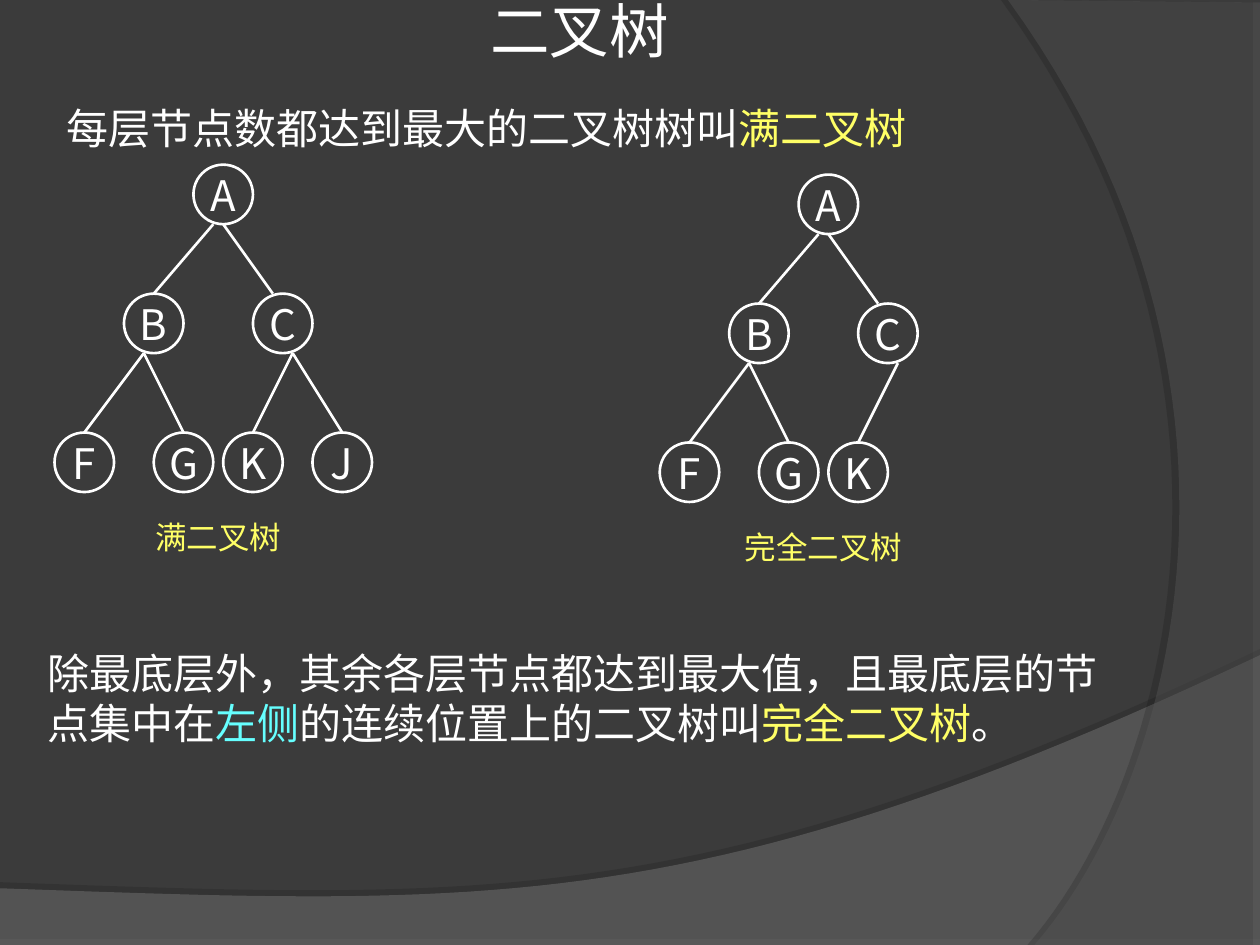
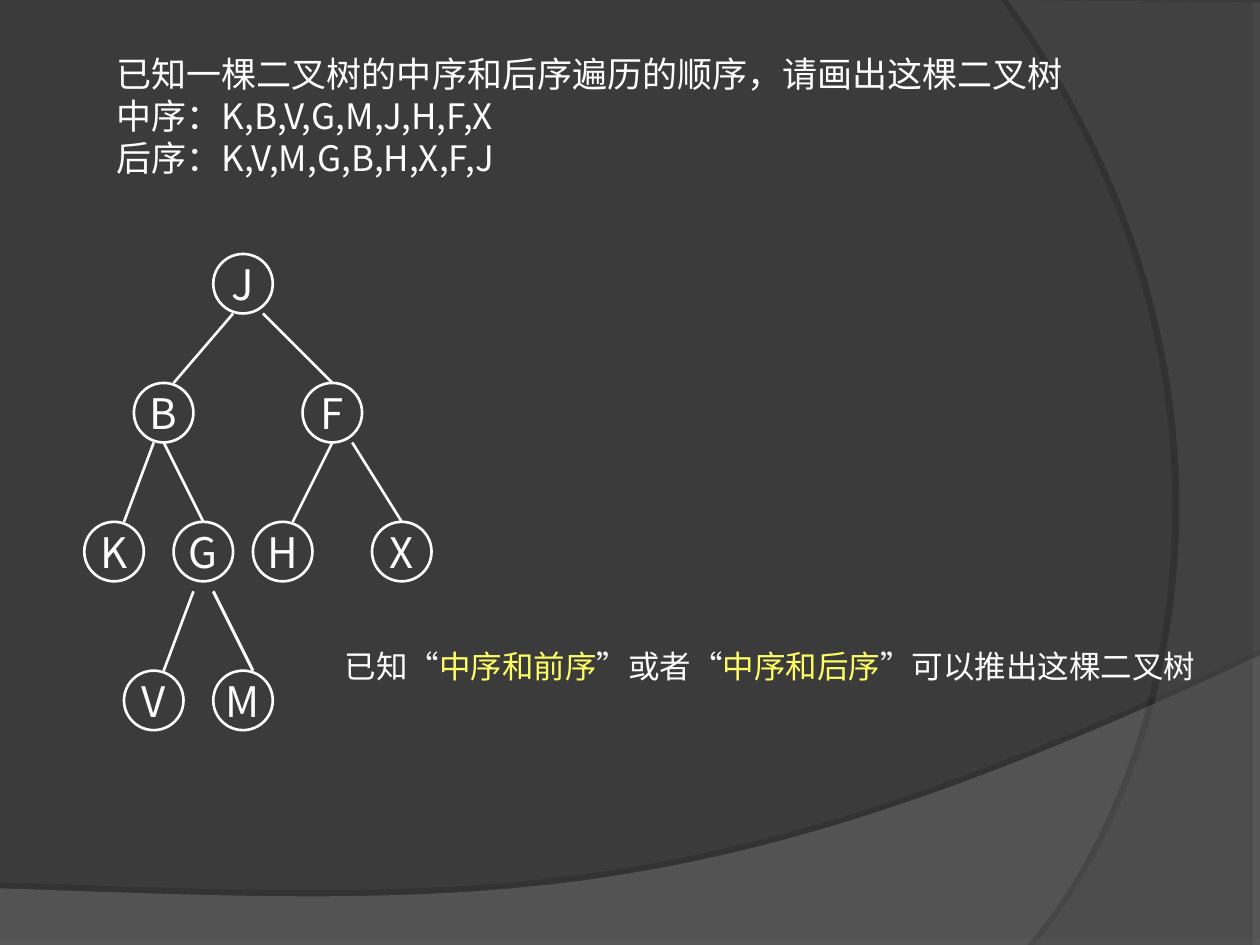
from dataclasses import dataclass
from typing import NamedTuple

from lxml.etree import SubElement
from pptx import Presentation
from pptx.dml.color import RGBColor
from pptx.enum.shapes import MSO_CONNECTOR, MSO_SHAPE
from pptx.enum.text import MSO_ANCHOR, PP_ALIGN
from pptx.oxml.ns import qn
from pptx.util import Emu, Inches, Pt

SLIDE_WIDTH, SLIDE_HEIGHT = Inches(10), Inches(7.5)
COLUMNS = 127
CELL = SLIDE_WIDTH / COLUMNS  # square grid cell, also used for rows
NODE_SIZE = 6
LEVEL_ROWS = (0, 13, 27, 42)
CAPTION_DROP = 35


@dataclass(frozen=True)
class Theme:
    ground: str = "3B3B3B"
    hill: str = "7C7C7C"
    side: str = "595959"
    shade: str = "000000"
    ink: str = "FFFFFF"
    term: str = "FFFF66"
    stress: str = "66FFFF"
    title_font: str = "Arial"
    prose_font: str = "Noto Sans CJK SC"
    label_font: str = "Noto Sans CJK JP"
    title_size: float = 34
    body_size: float = 24
    question_size: float = 20
    caption_size: float = 18
    line_height: float = 1.2
    stroke: float = 1.5


THEME = Theme()


class Span(NamedTuple):
    text: str
    color: str = THEME.ink


class Point(NamedTuple):
    x: float
    y: float


@dataclass(frozen=True)
class Band:
    """Corners and the closing Bezier, as points in inches."""
    corners: tuple[Point, ...]
    curve: tuple[Point, Point, Point, Point]
    color: str
    opacity: int
    shade_opacity: int
    shade_distance: float
    shade_angle: int


@dataclass(frozen=True)
class Passage:
    left: float
    top: float
    width: float
    height: float
    paragraphs: tuple[tuple[Span, ...], ...]
    size: float = THEME.body_size
    font: str = THEME.prose_font
    align: PP_ALIGN = PP_ALIGN.LEFT
    anchor: MSO_ANCHOR = MSO_ANCHOR.TOP
    wrap: bool = True
    exact_lines: bool = True


class Node(NamedTuple):
    """center is a column counted from the left of the tree."""
    center: float
    level: int


class Branch(NamedTuple):
    """Shifts move the ends sideways from the nodes' centers, in cells."""
    parent: str
    child: str
    start_shift: float = 0
    end_shift: float = 0
    gap: float = 0
    weight: float = THEME.stroke


@dataclass(frozen=True)
class Tree:
    left: float
    top: float
    nodes: dict[str, Node]
    branches: tuple[Branch, ...]
    caption: str = ""


BANDS = (
    Band((Point(0, 7.05), Point(0, 7.5), Point(10, 7.5)),
         (Point(10, 5.2), Point(5.59, 7.29), Point(3.91, 7.19), Point(0, 7.05)),
         THEME.hill, 45, 27, 3.5, 270),
    Band((Point(10, 0.02), Point(10, 7.5)),
         (Point(8.21, 7.5), Point(9.35, 6.19), Point(10.18, 3), Point(8, 0)),
         THEME.side, 40, 37, 4, 180),
)

FULL_NODES = {
    "A": Node(22.5, 0), "B": Node(15.5, 1), "C": Node(28.5, 1),
    "F": Node(8.5, 2), "G": Node(18.5, 2), "K": Node(25.5, 2), "J": Node(34.5, 2),
}
FULL_BRANCHES = (
    Branch("A", "B", -1), Branch("A", "C", 0, -1), Branch("B", "F", -1),
    Branch("B", "G", -1), Branch("C", "K", 1), Branch("C", "J", 1),
)
FULL_TREE = Tree(0, 16.6, FULL_NODES, FULL_BRANCHES, "满二叉树")
COMPLETE_TREE = Tree(
    61, 17.6,
    {letter: node for letter, node in FULL_NODES.items() if letter != "J"},
    tuple(branch for branch in FULL_BRANCHES if branch.child != "J"),
    "完全二叉树",
)
ANSWER_TREE = Tree(
    0, 25.6,
    {"J": Node(24.5, 0), "B": Node(16.5, 1), "F": Node(33.5, 1),
     "K": Node(11.5, 2), "G": Node(20.5, 2), "H": Node(28.5, 2), "X": Node(40.5, 2),
     "V": Node(15.5, 3), "M": Node(24.5, 3)},
    (Branch("J", "B", -1, 1), Branch("J", "F", 2), Branch("B", "K", -1, 1),
     Branch("B", "G"), Branch("F", "H", 0, 1), Branch("F", "X", 2),
     Branch("G", "V", -1, 1, gap=1), Branch("G", "M", 1, 1, gap=1, weight=1.75)),
)

TITLE = Passage(6.5, 0, 103.8, 5.9, ((Span("二叉树"),),), THEME.title_size,
                THEME.title_font, PP_ALIGN.CENTER, MSO_ANCHOR.MIDDLE, exact_lines=False)
FULL_RULE = Passage(5.5, 9.7, 109, 6.4, (
    (Span("每层节点数都达到最大的二叉树树叫"), Span("满二叉树", THEME.term)),
))
COMPLETE_RULE = Passage(3.5, 64.6, 109, 11.4, ((
    Span("除最底层外，其余各层节点都达到最大值，且最底层的节点集中在"),
    Span("左侧", THEME.stress),
    Span("的连续位置上的二叉树叫"),
    Span("完全二叉树", THEME.term),
    Span("。"),
),))
QUESTION = Passage(10.5, 4.6, 102, 14, (
    (Span("已知一棵二叉树的中序和后序遍历的顺序，请画出这棵二叉树"),),
    (Span("中序：K,B,V,G,M,J,H,F,X"),),
    (Span("后序：K,V,M,G,B,H,X,F,J"),),
), THEME.question_size, THEME.label_font, anchor=MSO_ANCHOR.MIDDLE)
CONCLUSION = Passage(33.5, 64.6, 88.3, 5, ((
    Span("已知“"), Span("中序和前序", THEME.term), Span("”或者“"),
    Span("中序和后序", THEME.term), Span("”可以推出这棵二叉树"),
),), THEME.caption_size, THEME.label_font, anchor=MSO_ANCHOR.MIDDLE, wrap=False)


def cells(count: float) -> Emu:
    return Emu(round(count * CELL))


def rgb(color: str) -> RGBColor:
    return RGBColor.from_string(color)


def bezier(curve: tuple[Point, Point, Point, Point], steps: int = 48) -> list[Point]:
    weights = (1, 3, 3, 1)
    points = []
    for step in range(steps + 1):
        t = step / steps
        blend = [w * (1 - t) ** (3 - i) * t ** i for i, w in enumerate(weights)]
        points.append(Point(sum(b * p.x for b, p in zip(blend, curve)),
                            sum(b * p.y for b, p in zip(blend, curve))))
    return points


def add_alpha(color_element, percent: int) -> None:
    SubElement(color_element, qn("a:alpha"), val=str(percent * 1000))


def draw_band(slide, band: Band) -> None:
    first, *rest = [*band.corners, *bezier(band.curve)]
    builder = slide.shapes.build_freeform(Inches(first.x), Inches(first.y))
    builder.add_line_segments([(Inches(p.x), Inches(p.y)) for p in rest], close=True)
    outline = builder.convert_to_shape()
    outline.fill.solid()
    outline.fill.fore_color.rgb = rgb(band.color)
    outline.line.fill.background()
    outline.shadow.inherit = False
    properties = outline.element.spPr
    add_alpha(properties.find(qn("a:solidFill")).find(qn("a:srgbClr")), band.opacity)
    shade = SubElement(properties.find(qn("a:effectLst")), qn("a:outerShdw"),
                       blurRad="0", dist=str(Pt(band.shade_distance)),
                       dir=str(band.shade_angle * 60000), algn="ctr", rotWithShape="0")
    add_alpha(SubElement(shade, qn("a:srgbClr"), val=THEME.shade), band.shade_opacity)


def add_span(paragraph, span: Span, size: float, font: str) -> None:
    run = paragraph.add_run()
    run.text = span.text
    run.font.size = Pt(size)
    run.font.color.rgb = rgb(span.color)
    run.font.name = font
    east_asian = THEME.prose_font if font == THEME.title_font else font
    SubElement(run.font._element, qn("a:ea"), typeface=east_asian)


def write(slide, passage: Passage) -> None:
    area = (passage.left, passage.top, passage.width, passage.height)
    frame = slide.shapes.add_textbox(*map(cells, area)).text_frame
    frame.word_wrap = passage.wrap
    frame.vertical_anchor = passage.anchor
    for index, spans in enumerate(passage.paragraphs):
        paragraph = frame.add_paragraph() if index else frame.paragraphs[0]
        paragraph.alignment = passage.align
        if passage.exact_lines:
            paragraph.line_spacing = Pt(passage.size * THEME.line_height)
        for span in spans:
            add_span(paragraph, span, passage.size, passage.font)


def draw_node(slide, tree: Tree, letter: str, node: Node) -> None:
    circle = slide.shapes.add_shape(
        MSO_SHAPE.OVAL, cells(tree.left + node.center - NODE_SIZE / 2),
        cells(tree.top + LEVEL_ROWS[node.level]), cells(NODE_SIZE), cells(NODE_SIZE))
    circle.shadow.inherit = False
    circle.fill.solid()
    circle.fill.fore_color.rgb = rgb(THEME.ground)
    circle.line.color.rgb = rgb(THEME.ink)
    circle.line.width = Pt(THEME.stroke)
    frame = circle.text_frame
    frame.word_wrap = False
    frame.vertical_anchor = MSO_ANCHOR.MIDDLE
    frame.paragraphs[0].alignment = PP_ALIGN.CENTER
    add_span(frame.paragraphs[0], Span(letter), THEME.body_size, THEME.label_font)


def draw_branch(slide, tree: Tree, branch: Branch) -> None:
    parent, child = tree.nodes[branch.parent], tree.nodes[branch.child]
    line = slide.shapes.add_connector(
        MSO_CONNECTOR.STRAIGHT,
        cells(tree.left + parent.center + branch.start_shift),
        cells(tree.top + LEVEL_ROWS[parent.level] + NODE_SIZE + branch.gap),
        cells(tree.left + child.center + branch.end_shift),
        cells(tree.top + LEVEL_ROWS[child.level]))
    line.line.color.rgb = rgb(THEME.ink)
    line.line.width = Pt(branch.weight)
    SubElement(line.element.spPr, qn("a:effectLst"))


def draw_tree(slide, tree: Tree) -> None:
    for letter, node in tree.nodes.items():
        draw_node(slide, tree, letter, node)
    for branch in tree.branches:
        draw_branch(slide, tree, branch)
    if tree.caption:
        write(slide, Passage(tree.left + 8.5, tree.top + CAPTION_DROP, 27, 5,
                             ((Span(tree.caption, THEME.term),),),
                             THEME.caption_size, align=PP_ALIGN.CENTER))


def add_slide(deck, passages: tuple[Passage, ...], trees: tuple[Tree, ...]) -> None:
    slide = deck.slides.add_slide(deck.slide_layouts[6])
    slide.background.fill.solid()
    slide.background.fill.fore_color.rgb = rgb(THEME.ground)
    for band in BANDS:
        draw_band(slide, band)
    for passage in passages:
        write(slide, passage)
    for tree in trees:
        draw_tree(slide, tree)


def main() -> None:
    deck = Presentation()
    deck.slide_width, deck.slide_height = SLIDE_WIDTH, SLIDE_HEIGHT
    add_slide(deck, (TITLE, FULL_RULE, COMPLETE_RULE), (FULL_TREE, COMPLETE_TREE))
    add_slide(deck, (QUESTION, CONCLUSION), (ANSWER_TREE,))
    deck.save("out.pptx")


if __name__ == "__main__":
    main()
